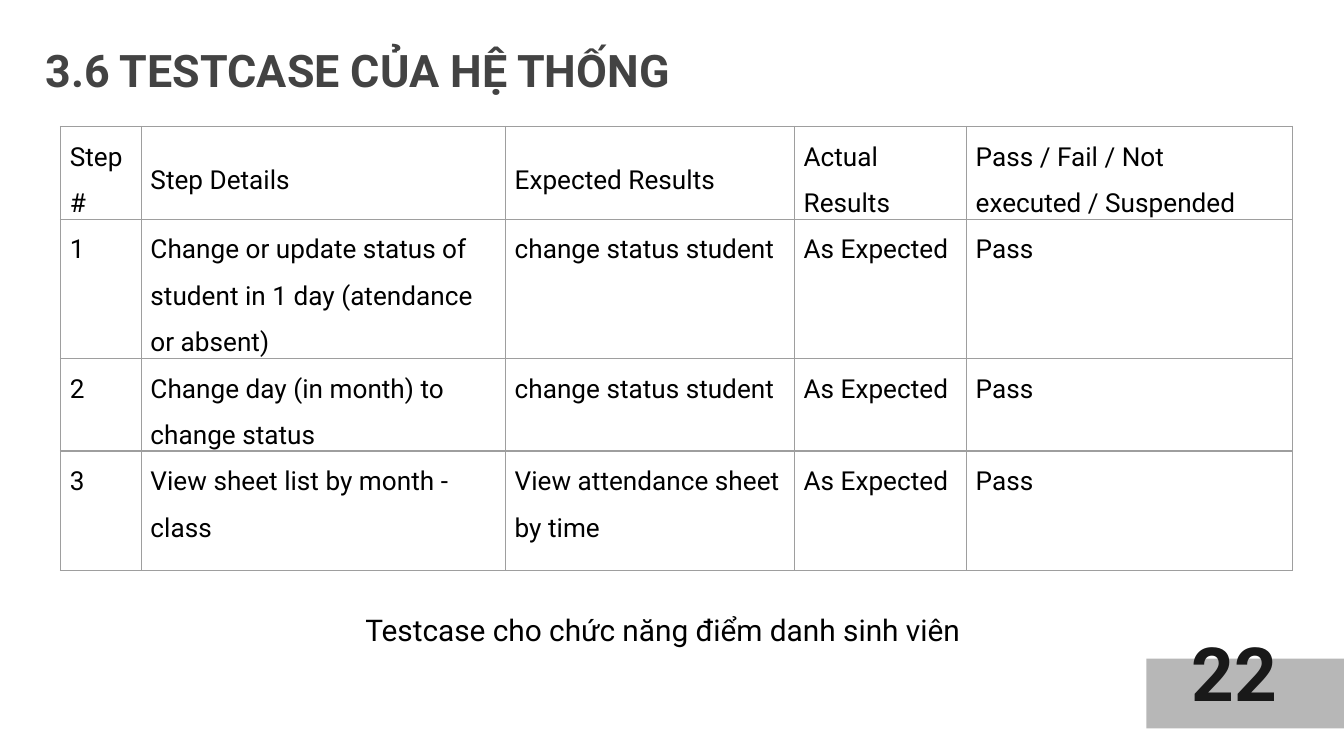
from dataclasses import dataclass

from lxml import etree
from pptx import Presentation
from pptx.dml.color import RGBColor
from pptx.enum.lang import MSO_LANGUAGE_ID
from pptx.enum.shapes import MSO_SHAPE
from pptx.enum.text import MSO_ANCHOR, MSO_AUTO_SIZE, PP_ALIGN
from pptx.oxml.ns import qn
from pptx.slide import Slide
from pptx.table import _Cell
from pptx.text.text import TextFrame
from pptx.util import Inches, Pt

RECTANGLE = MSO_SHAPE.RECTANGLE
TOP, MIDDLE = MSO_ANCHOR.TOP, MSO_ANCHOR.MIDDLE
LEFT, CENTER = PP_ALIGN.LEFT, PP_ALIGN.CENTER
FIT_SHAPE, NO_FIT = MSO_AUTO_SIZE.SHAPE_TO_FIT_TEXT, MSO_AUTO_SIZE.NONE
VIETNAMESE = MSO_LANGUAGE_ID.VIETNAMESE

FONT = "Roboto"
COLORS = {
    "title": "434343",
    "text": "000000",
    "border": "9E9E9E",
    "page_band": "B7B7B7",
    "page_number": "191919",
}


@dataclass(frozen=True)
class TestStep:
    number: str
    details: str
    expected: str
    actual: str = "As Expected"
    status: str = "Pass"

    def values(self) -> list[str]:
        return [self.number, self.details, self.expected, self.actual, self.status]


HEADINGS = TestStep("Step #", "Step Details", "Expected Results", "Actual Results",
                    "Pass / Fail / Not executed / Suspended")
STEPS = [
    TestStep("1", "Change or update status of student in 1 day (atendance or absent)",
             "change status student"),
    TestStep("2", "Change day (in month) to change status", "change status student"),
    TestStep("3", "View sheet list by month - class", "View attendance sheet by time"),
]
COLUMN_WIDTHS = [0.6, 2.71, 2.15, 1.28, 2.43]
ROW_HEIGHTS = [0.65, 0.47, 0.47, 0.89]


def write(frame: TextFrame, text: str, size: int, color: str,
          bold: bool = False, align: PP_ALIGN = LEFT) -> None:
    frame.text = text
    frame.word_wrap = True
    paragraph = frame.paragraphs[0]
    paragraph.alignment = align
    font = paragraph.runs[0].font
    font.name, font.size, font.bold = FONT, Pt(size), bold
    font.language_id = VIETNAMESE
    font.color.rgb = RGBColor.from_string(COLORS[color])


def set_margins(frame: TextFrame, margin: float) -> None:
    frame.margin_left = frame.margin_right = Inches(margin)
    frame.margin_top = frame.margin_bottom = Inches(margin)


def add_borders(cell: _Cell) -> None:
    properties = cell._tc.get_or_add_tcPr()
    for position, side in enumerate(("lnL", "lnR", "lnT", "lnB")):
        line = etree.Element(qn(f"a:{side}"), w=str(Pt(0.75)))
        fill = etree.SubElement(line, qn("a:solidFill"))
        etree.SubElement(fill, qn("a:srgbClr"), val=COLORS["border"])
        properties.insert(position, line)


def fill_cell(cell: _Cell, text: str, anchor: MSO_ANCHOR) -> None:
    write(cell.text_frame, text, 14, "text")
    cell.text_frame.paragraphs[0].line_spacing = 1.5
    cell.vertical_anchor = anchor
    cell.margin_left = cell.margin_right = Inches(0.07)
    cell.margin_top = cell.margin_bottom = 0
    cell.fill.background()
    add_borders(cell)


def add_title(slide: Slide) -> None:
    title = slide.shapes.title
    title.left, title.top = Inches(0.24), Inches(0.22)
    title.width, title.height = Inches(8.28), Inches(1.03)
    frame = title.text_frame
    write(frame, "3.6 TESTCASE CỦA HỆ THỐNG", 24, "title", bold=True)
    set_margins(frame, 0.1)
    frame.vertical_anchor = TOP
    frame.auto_size = NO_FIT


def add_steps_table(slide: Slide) -> None:
    rows = [HEADINGS, *STEPS]
    table = slide.shapes.add_table(
        len(rows), len(COLUMN_WIDTHS), Inches(0.45), Inches(0.94),
        Inches(sum(COLUMN_WIDTHS)), Inches(sum(ROW_HEIGHTS))).table
    table.first_row = table.horz_banding = False
    for column, width in zip(table.columns, COLUMN_WIDTHS):
        column.width = Inches(width)
    for row, height, step in zip(table.rows, ROW_HEIGHTS, rows):
        row.height = Inches(height)
        for cell, value in zip(row.cells, step.values()):
            fill_cell(cell, value, MIDDLE if step is HEADINGS else TOP)


def add_caption(slide: Slide) -> None:
    caption = slide.shapes.add_textbox(Inches(2.62), Inches(4.5), Inches(4.84), Inches(0.37))
    write(caption.text_frame, "Testcase cho chức năng điểm danh sinh viên", 16, "text")
    caption.text_frame.auto_size = FIT_SHAPE


def add_page_number(slide: Slide) -> None:
    group = slide.shapes.add_group_shape()
    band = group.shapes.add_shape(
        RECTANGLE, Inches(8.53), Inches(4.9), Inches(1.47), Inches(0.52))
    band.shadow.inherit = False
    band.fill.solid()
    band.fill.fore_color.rgb = RGBColor.from_string(COLORS["page_band"])
    band.line.fill.background()

    number = group.shapes.add_textbox(Inches(8.77), Inches(3.94), Inches(0.83), Inches(1.28))
    frame = number.text_frame
    write(frame, "22", 40, "page_number", bold=True, align=CENTER)
    set_margins(frame, 0)
    frame.vertical_anchor = MIDDLE
    frame.paragraphs[0].line_spacing = Pt(108)


def main() -> None:
    presentation = Presentation()
    presentation.slide_width = Inches(10)
    presentation.slide_height = presentation.slide_width * 9 // 16
    slide = presentation.slides.add_slide(presentation.slide_layouts[0])
    subtitle = slide.placeholders[1].element
    subtitle.getparent().remove(subtitle)
    add_title(slide)
    add_steps_table(slide)
    add_caption(slide)
    add_page_number(slide)
    presentation.save("out.pptx")


if __name__ == "__main__":
    main()
